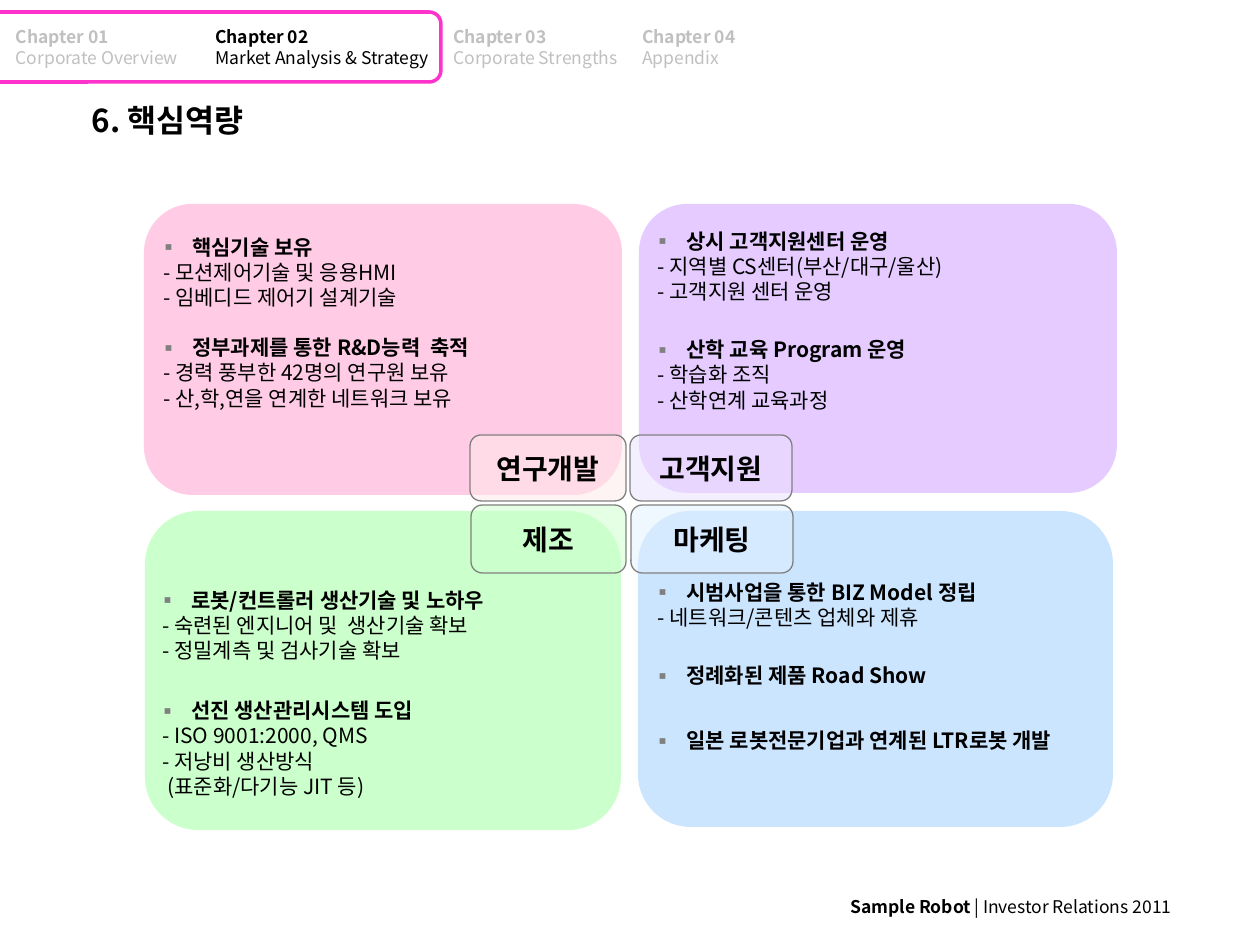
from lxml import etree
from pptx import Presentation
from pptx import util as u
from pptx.dml.color import RGBColor
from pptx.enum import shapes, text
from pptx.oxml.ns import qn

PX = 914400 / 126
FONT = "Noto Sans CJK KR"
PINK, GRAY, SILVER, BLACK = "FF33CC", "808080", "C0C0C0", "000000"

TABS = [
    (203, 248, "Chapter 02", "Market Analysis & Strategy", BLACK),
    (441, 203, "Chapter 03", "Corporate Strengths", SILVER),
    (630, 140, "Chapter 04", "Appendix", SILVER),
]
PANELS = [
    ((144, 204, 478, 291), "FF99CC"),
    ((639, 204, 478, 289), "CC99FF"),
    ((145, 511, 476, 319), "99FF99"),
    ((638, 511, 475, 316), "99CCFF"),
]
TAGS = [
    ((471, 505, 155, 68), "CCFFCC", "제조"),
    ((470, 435, 156, 66), "FFEBEB", "연구개발"),
    ((631, 505, 162, 68), "E1F0FF", "마케팅"),
    ((630, 435, 162, 66), "EBE1FF", "고객지원"),
]
LISTS = [
    ((146, 228, 479, 189), [
        (0, "핵심기술 보유", ["- 모션제어기술 및 응용HMI", "- 임베디드 제어기 설계기술"]),
        (25, "정부과제를 통한 R&D능력  축적",
         ["- 경력 풍부한 42명의 연구원 보유", "- 산,학,연을 연계한 네트워크 보유"]),
    ]),
    ((640, 222, 474, 197), [
        (0, "상시 고객지원센터 운영", ["- 지역별 CS센터(부산/대구/울산)", "- 고객지원 센터 운영"]),
        (33, "산학 교육 Program 운영", ["- 학습화 조직", "- 산학연계 교육과정"]),
    ]),
    ((145, 581, 494, 249), [
        (0, "로봇/컨트롤러 생산기술 및 노하우",
         ["- 숙련된 엔지니어 및  생산기술 확보", "- 정밀계측 및 검사기술 확보"]),
        (35, "선진 생산관리시스템 도입",
         ["- ISO 9001:2000, QMS", "- 저낭비 생산방식", "(표준화/다기능 JIT 등)"]),
    ]),
    ((640, 573, 474, 186), [
        (0, "시범사업을 통한 BIZ Model 정립", ["- 네트워크/콘텐츠 업체와 제휴"]),
        (33, "정례화된 제품 Road Show", []),
        (40, "일본 로봇전문기업과 연계된 LTR로봇 개발", []),
    ]),
]


def px(n):
    return u.Emu(round(n * PX))


def rgb(code):
    return RGBColor.from_string(code)


class Deck:
    """Holds the style and the current slide."""

    def __init__(self):
        self.prs = Presentation()
        self.prs.slide_width, self.prs.slide_height = px(1260), px(945)
        self.slide = self.prs.slides.add_slide(self.prs.slide_layouts[5])

    def frame(self, shape, mid=False):
        tf = shape.text_frame
        tf.word_wrap = True
        tf.auto_size = text.MSO_AUTO_SIZE.NONE
        tf.vertical_anchor = text.MSO_ANCHOR.MIDDLE if mid else text.MSO_ANCHOR.TOP
        return tf

    def style(self, run, size, bold, color):
        run.font.size, run.font.bold, run.font.name = u.Pt(size), bold, FONT
        run.font.color.rgb = rgb(color)
        east = etree.SubElement(run.font._element, qn("a:ea"))
        east.set("typeface", FONT)

    def line(self, para, words, size, bold=False, color=BLACK, left=0, center=False):
        para.text = words
        para.alignment = text.PP_ALIGN.CENTER if center else text.PP_ALIGN.LEFT
        para.line_spacing = u.Pt(round(size * 1.2, 1))
        if left:
            para._p.get_or_add_pPr().set("marL", str(px(left)))
        for run in para.runs:
            self.style(run, size, bold, color)

    def bullet(self, para, indent):
        props = para._p.get_or_add_pPr()
        props.set("indent", str(px(-indent)))
        tint = etree.SubElement(props, qn("a:buClr"))
        etree.SubElement(tint, qn("a:srgbClr")).set("val", GRAY)
        etree.SubElement(props, qn("a:buFont")).set("typeface", FONT)
        etree.SubElement(props, qn("a:buChar")).set("char", "▪")

    def title(self, box, words):
        shape = self.slide.shapes.title
        shape.left, shape.top, shape.width, shape.height = map(px, box)
        self.line(self.frame(shape, True).paragraphs[0], words, 18, True)

    def text(self, box):
        return self.slide.shapes.add_textbox(*map(px, box))

    def round(self, box, fill=None, edge=None, width=0.75):
        shape = self.slide.shapes.add_shape(
            shapes.MSO_SHAPE.ROUNDED_RECTANGLE, *map(px, box))
        shape.shadow.inherit = False
        if fill:
            shape.fill.solid()
            shape.fill.fore_color.rgb = rgb(fill)
            tint = shape._element.spPr.find(".//" + qn("a:srgbClr"))
            etree.SubElement(tint, qn("a:alpha")).set("val", "50000")
        else:
            shape.fill.background()
        if edge:
            shape.line.color.rgb = rgb(edge)
            shape.line.width = u.Pt(width)
        else:
            shape.line.fill.background()
        return shape

    def tab(self, shape, head, name, color, left=0):
        tf = self.frame(shape, True)
        self.line(tf.paragraphs[0], head, 10, True, color, left)
        self.line(tf.add_paragraph(), name, 10, False, color, left)

    def tag(self, box, fill, words):
        tf = self.frame(self.round(box, fill, GRAY), True)
        self.line(tf.paragraphs[0], words, 16, True, center=True)

    def list(self, box, groups):
        tf = self.frame(self.text(box))
        for gap, head, items in groups:
            para = tf.add_paragraph() if gap else tf.paragraphs[0]
            self.bullet(para, 34)
            self.line(para, head, 12, True, left=34)
            if gap:
                para.space_before = px(gap)
            for item in items:
                left = 10 if item.startswith("(") else 5
                self.line(tf.add_paragraph(), item, 12, left=left)

    def foot(self, box, firm, rest):
        para = self.frame(self.text(box)).paragraphs[0]
        self.line(para, firm, 10, True)
        run = para.add_run()
        run.text = rest
        self.style(run, 10, False, BLACK)


def main():
    deck = Deck()
    frame = deck.round((-15, 12, 456, 70), edge=PINK, width=2)
    deck.tab(frame, "Chapter 01", "Corporate Overview", SILVER, 15)
    for left, width, head, name, color in TABS:
        deck.tab(deck.text((left, 12, width, 70)), head, name, color)
    deck.title((79, 85, 427, 70), "6. 핵심역량")
    for box, fill in PANELS:
        deck.round(box, fill)
    for tag in TAGS:
        deck.tag(*tag)
    for box, groups in LISTS:
        deck.list(box, groups)
    deck.foot((838, 890, 377, 34), "Sample Robot", " | Investor Relations 2011")
    deck.prs.save("out.pptx")


if __name__ == "__main__":
    main()
